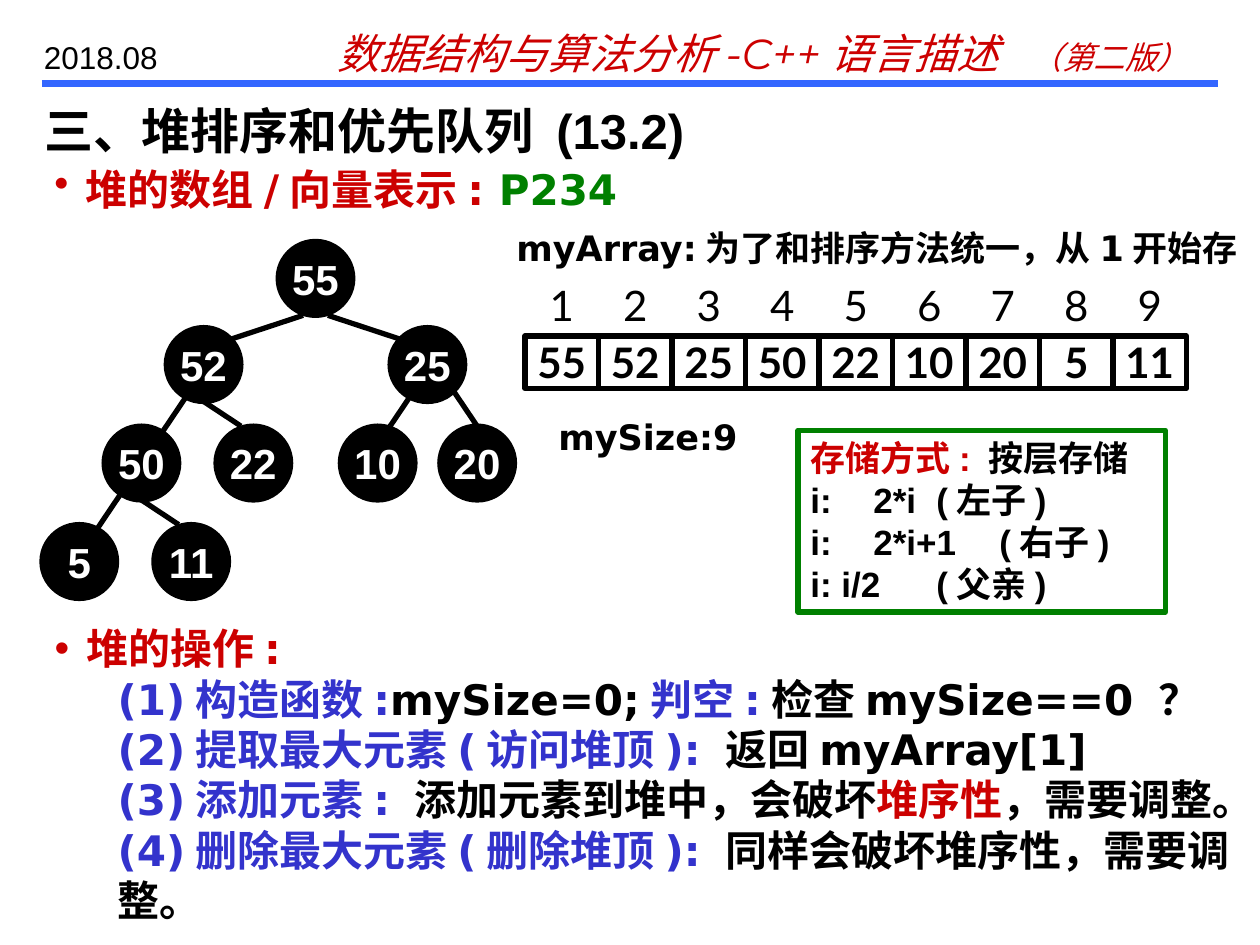
from typing import NamedTuple

from lxml import etree
from pptx import Presentation
from pptx.dml.color import RGBColor
from pptx.enum.shapes import MSO_CONNECTOR, MSO_SHAPE
from pptx.enum.text import MSO_ANCHOR, MSO_AUTO_SIZE, PP_ALIGN
from pptx.oxml.ns import qn
from pptx.util import Inches, Pt

RECTANGLE, OVAL = MSO_SHAPE.RECTANGLE, MSO_SHAPE.OVAL
STRAIGHT = MSO_CONNECTOR.STRAIGHT
LEFT, CENTER = PP_ALIGN.LEFT, PP_ALIGN.CENTER
TOP, MIDDLE = MSO_ANCHOR.TOP, MSO_ANCHOR.MIDDLE
FIXED_SIZE = MSO_AUTO_SIZE.NONE

SLIDE_WIDTH, SLIDE_HEIGHT = Inches(10), Inches(7.5)
UNIT = SLIDE_WIDTH / 120  # the slide is a grid of 120 columns by 90 rows

BLACK, WHITE = "000000", "FFFFFF"
RED, GREEN, BLUE, RULE_BLUE = "CC0000", "008000", "3333CC", "3366FF"
SANS, HEADING, DIGITS, BANNER = "DejaVu Sans", "Arial", "Lato", "Montserrat"


class Box(NamedTuple):
    left: float
    top: float
    width: float
    height: float

    def emu(self) -> list[int]:
        return [round(side * UNIT) for side in self]


class Run(NamedTuple):
    text: str
    color: str = BLACK
    size: float | None = None


class Line(NamedTuple):
    runs: list[Run]
    bullet: bool = False
    indent: float = 0
    tabs: tuple[float, ...] = ()


class Node(NamedTuple):
    value: int
    column: int
    row: int


class Edge(NamedTuple):
    from_column: int
    from_row: int
    to_column: int
    to_row: int


TREE = Box(4, 23, 45, 34)
TREE_COLUMN, TREE_ROW = TREE.width / 38, TREE.height / 29
NODE_SPAN = 6
NODES = [
    Node(55, 19, 0), Node(52, 10, 7), Node(25, 28, 7),
    Node(50, 5, 15), Node(22, 14, 15), Node(10, 24, 15), Node(20, 32, 15),
    Node(5, 0, 23), Node(11, 9, 23),
]
HIDDEN_EDGE = Edge(12, 12, 4, 24)  # passes behind node 50
EDGES = [
    Edge(15, 8, 21, 6), Edge(23, 6, 29, 8), Edge(13, 13, 16, 15),
    Edge(8, 21, 11, 23), Edge(30, 12, 28, 15), Edge(33, 12, 35, 15),
]

OPERATIONS = [
    Line([Run("堆的操作:", RED)], bullet=True),
    Line([Run("(1)构造函数:", BLUE), Run("mySize=0;"), Run("判空:", BLUE),
          Run("检查mySize==0 ？")], indent=0.5),
    Line([Run("(2)提取最大元素(访问堆顶): ", BLUE), Run("返回myArray[1]")], indent=0.5),
    Line([Run("(3)添加元素: ", BLUE), Run("添加元素到堆中，会破坏"), Run("堆序性", RED),
          Run("，需要调整。"), Run("(4)删除最大元素(删除堆顶): ", BLUE),
          Run("同样会破坏堆序性，需要调整。")], indent=0.5),
]
STORAGE_RULES = [
    Line([Run("存储方式: ", RED), Run("按层存储")]),
    Line([Run("i:\t2*i\t(左子)")], tabs=(0.32, 0.97)),
    Line([Run("i:\t2*i+1\t(右子)")], tabs=(0.32, 1.37)),
    Line([Run("i: i/2\t(父亲)")], tabs=(0.94,)),
]


def rgb(color: str) -> RGBColor:
    return RGBColor.from_string(color)


def add_list_format(paragraph, line: Line) -> None:
    """Set indent, bullet and tab stops of one paragraph."""
    properties = paragraph._p.get_or_add_pPr()
    margin = 0.25 if line.bullet else line.indent
    properties.set("marL", str(Inches(margin)))
    properties.set("indent", str(-Inches(margin) if line.bullet else 0))
    if line.bullet:
        bullet_color = etree.SubElement(properties, qn("a:buClr"))
        etree.SubElement(bullet_color, qn("a:srgbClr"), val=RED)
        etree.SubElement(properties, qn("a:buChar"), char="•")
    else:
        etree.SubElement(properties, qn("a:buNone"))
    if line.tabs:
        stops = etree.SubElement(properties, qn("a:tabLst"))
        for position in line.tabs:
            etree.SubElement(stops, qn("a:tab"), pos=str(Inches(position)), algn="l")


def write(shape, lines: list[Line], *, font: str, size: float, bold: bool = False,
          italic: bool = False, align=LEFT, anchor=TOP, wrap: bool = True) -> None:
    frame = shape.text_frame
    frame.auto_size = FIXED_SIZE
    frame.word_wrap = wrap
    frame.vertical_anchor = anchor
    for number, line in enumerate(lines):
        paragraph = frame.add_paragraph() if number else frame.paragraphs[0]
        paragraph.alignment = align
        paragraph.space_before = Pt(0)
        add_list_format(paragraph, line)
        for part in line.runs:
            run = paragraph.add_run()
            run.text = part.text
            run.font.name = font
            run.font.size = Pt(part.size or size)
            run.font.bold = bold
            run.font.italic = italic
            run.font.color.rgb = rgb(part.color)


def place(placeholder, box: Box):
    placeholder.left, placeholder.top, placeholder.width, placeholder.height = box.emu()
    return placeholder


def add_text(slide, box: Box, lines: list[Line], **text_format) -> None:
    write(slide.shapes.add_textbox(*box.emu()), lines, **text_format)


def add_outlined(slide, kind, box: Box, line_color: str, fill: str | None = None):
    shape = slide.shapes.add_shape(kind, *box.emu())
    shape.shadow.inherit = False
    if fill:
        shape.fill.solid()
        shape.fill.fore_color.rgb = rgb(fill)
    else:
        shape.fill.background()
    shape.line.color.rgb = rgb(line_color)
    shape.line.width = Pt(3)
    return shape


def add_line(slide, start: tuple[float, float], end: tuple[float, float],
             color: str = BLACK, width: float = 3) -> None:
    ends = [round(position * UNIT) for position in (*start, *end)]
    connector = slide.shapes.add_connector(STRAIGHT, *ends)
    connector.line.color.rgb = rgb(color)
    connector.line.width = Pt(width)
    etree.SubElement(connector._element.spPr, qn("a:effectLst"))


def tree_point(column: int, row: int) -> tuple[float, float]:
    return TREE.left + column * TREE_COLUMN, TREE.top + row * TREE_ROW


def add_edge(slide, edge: Edge) -> None:
    add_line(slide, tree_point(edge.from_column, edge.from_row),
             tree_point(edge.to_column, edge.to_row))


def add_node(slide, node: Node) -> None:
    box = Box(*tree_point(node.column, node.row),
              NODE_SPAN * TREE_COLUMN, NODE_SPAN * TREE_ROW)
    circle = add_outlined(slide, OVAL, box, BLACK, fill=BLACK)
    write(circle, [Line([Run(str(node.value), WHITE)])], font=HEADING, size=24,
          bold=True, align=CENTER, anchor=MIDDLE, wrap=False)


def add_array(slide, values: list[int]) -> None:
    digit_format = dict(font=DIGITS, size=24, align=CENTER, anchor=MIDDLE, wrap=False)
    for index, value in enumerate(values):
        left = 50 + 7 * index
        cell = add_outlined(slide, RECTANGLE, Box(left, 32, 7, 5), BLACK)
        write(cell, [Line([Run(str(value))])], bold=True, **digit_format)
        add_text(slide, Box(left, 26, 7, 6), [Line([Run(str(index + 1))])], **digit_format)


def main() -> None:
    deck = Presentation()
    deck.slide_width, deck.slide_height = SLIDE_WIDTH, SLIDE_HEIGHT
    slide = deck.slides.add_slide(deck.slide_layouts[1])
    title, operations = slide.placeholders

    add_line(slide, (4, 8), (116, 8), RULE_BLUE, 4)
    add_text(slide, Box(31, 2, 84, 6),
             [Line([Run("数据结构与算法分析-C++语言描述\t", RED), Run("（第二版）", RED, 18)],
                   tabs=(5.4,))], font=BANNER, size=24, italic=True)
    add_text(slide, Box(3, 3, 17, 4.8), [Line([Run("2018.08")])], font=HEADING, size=18)
    write(place(title, Box(3, 9, 117, 6)), [Line([Run("三、堆排序和优先队列 (13.2)")])],
          font=HEADING, size=28, bold=True)
    add_text(slide, Box(4, 15, 113, 6),
             [Line([Run("堆的数组/向量表示: ", RED), Run("P234", GREEN)], bullet=True)],
             font=SANS, size=24, bold=True)
    write(place(operations, Box(4, 58.7, 116, 25.2)), OPERATIONS,
          font=SANS, size=24, bold=True)

    add_array(slide, [node.value for node in NODES])
    add_edge(slide, HIDDEN_EDGE)
    for node in NODES:
        add_node(slide, node)
    for edge in EDGES:
        add_edge(slide, edge)

    for box, label in [(Box(48, 21, 72, 5.3), "myArray:为了和排序方法统一，从1开始存"),
                       (Box(52, 39, 26, 5.3), "mySize:9")]:
        add_text(slide, box, [Line([Run(label)])], font=SANS, size=20, bold=True)
    storage = add_outlined(slide, RECTANGLE, Box(76, 41, 35, 17.3), GREEN)
    write(storage, STORAGE_RULES, font=HEADING, size=20, bold=True)
    deck.save("out.pptx")


if __name__ == "__main__":
    main()
